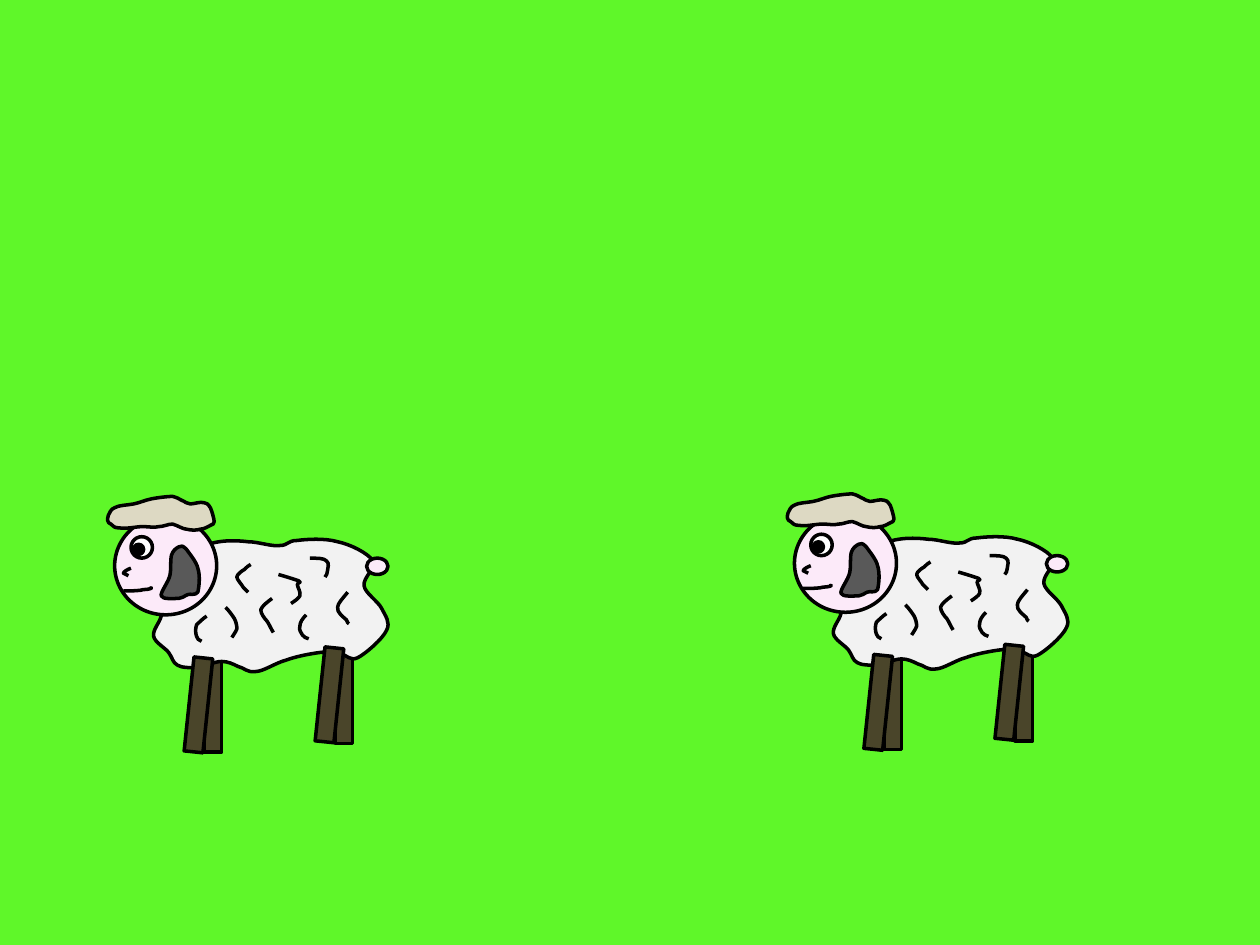
from dataclasses import dataclass
from lxml import etree
from pptx import Presentation
from pptx.dml.color import RGBColor
from pptx.enum.shapes import MSO_SHAPE
from pptx.oxml.ns import qn
from pptx.util import Cm, Pt

RECT, OVAL = MSO_SHAPE.RECTANGLE, MSO_SHAPE.OVAL


@dataclass
class Theme:
    grass: str = "5FF729"
    ink: str = "000000"
    leg: str = "4A452A"
    wool: str = "F2F2F2"
    skin: str = "FCEAF9"
    eye: str = "FFFFFF"
    ear: str = "595959"
    hair: str = "DDD9C3"
    pen: float = 2


def unit(n):
    """Hundredths of an inch."""
    return Cm(n * 0.0254)


class Pen:
    def __init__(self, deck, theme):
        self.theme = theme
        self.slide = deck.slides.add_slide(deck.slide_layouts[6])
        fill = self.slide.background.fill
        fill.solid()
        fill.fore_color.rgb = RGBColor.from_string(theme.grass)

    def group(self, dx, dy):
        self.set = self.slide.shapes.add_group_shape().shapes
        self.dx, self.dy = dx, dy

    def style(self, item, color):
        item.shadow.inherit = False
        if color:
            item.fill.solid()
            item.fill.fore_color.rgb = RGBColor.from_string(color)
        else:
            item.fill.background()
        item.line.color.rgb = RGBColor.from_string(self.theme.ink)
        item.line.width = Pt(self.theme.pen)

    def shape(self, kind, x, y, w, h, color, turn=0):
        item = self.set.add_shape(kind, unit(x + self.dx), unit(y + self.dy),
                                  unit(w), unit(h))
        item.rotation = turn
        self.style(item, color)

    def curve(self, text, color=None):
        """Start point, then three points for each Bezier segment."""
        nums = [int(n) for n in text.split()]
        dots = [(unit(x + self.dx), unit(y + self.dy))
                for x, y in zip(nums[::2], nums[1::2])]
        form = self.set.build_freeform(*dots[0])
        form.add_line_segments(dots[1:], close=bool(color))
        item = form.convert_to_shape()
        # Each three straight steps become one Bezier step
        steps = list(item._element.iter(qn("a:lnTo")))
        for i in range(0, len(steps), 3):
            bend = etree.Element(qn("a:cubicBezTo"))
            steps[i].addprevious(bend)
            for step in steps[i:i + 3]:
                bend.append(step[0])
                step.getparent().remove(step)
        self.style(item, color)


BODY = """253 518 246 519 235 521 227 524 219 526 209 533 203 533
196 534 194 530 189 529 185 527 181 525 176 525 170 525 163 529 157 530
151 530 144 530 141 528 137 526 137 522 134 518 131 514 123 510 122 505
121 500 127 494 128 489 128 484 127 478 125 474 123 470 118 469 117 465
116 460 118 453 120 449 122 445 125 441 129 440 133 439 140 444 144 443
149 442 153 438 158 435 163 433 167 431 174 430 180 429 189 429 197 430
205 430 216 434 222 433 229 433 228 429 236 429 243 428 258 427 268 430
278 432 292 439 296 445 299 451 288 458 289 465 290 471 300 477 303 483
306 489 310 494 307 500 304 507 290 519 284 522 278 525 276 520 270 519
264 518 260 517 253 518"""
EAR = """148 436 145 433 144 433 142 434 140 435 137 437 136 441
135 445 136 451 135 456 134 462 127 470 128 473 129 476 138 475 142 475
145 475 146 473 149 472 151 471 155 473 157 470 158 466 159 457 157 451
156 446 150 439 148 436"""
HAIR = """95 419 100 420 108 418 113 418 119 418 122 419 126 418
130 418 133 416 137 416 141 417 145 420 148 420 152 421 156 421 159 420
162 420 165 418 167 417 169 416 170 416 170 414 170 412 168 405 167 403
165 400 164 399 162 399 159 398 154 400 151 400 148 400 147 398 144 397
142 396 141 395 137 394 133 394 125 395 120 396 115 397 111 399 106 400
101 401 94 401 91 403 88 404 87 407 86 409 85 412 85 415 88 416
90 418 91 419 95 419"""
NOSE = "104 451 101 452 98 454 98 455 98 455 100 456 102 457"
MOUTH = """98 469 105 469 111 469 114 468 118 468 120 467 120 467
121 466 120 467 119 467"""
CURLS = [
    "199 448 197 449 196 450 194 452 192 453 188 456 188 458 "
    "188 460 192 464 193 466 195 468 196 469 197 470",
    "221 456 228 458 234 460 237 461 240 463 236 462 236 464 "
    "236 466 239 470 238 473 237 475 234 477 231 479",
    "246 443 252 443 257 443 259 445 262 447 260 451 260 453 "
    "260 455 259 457 258 458",
    "276 470 272 475 268 479 268 482 267 486 273 490 275 492 "
    "276 494 276 495 277 495",
    "243 488 240 491 238 494 238 497 237 500 239 502 240 504 "
    "241 506 243 506 245 507",
    "216 475 212 478 208 481 207 484 207 487 210 491 212 493 "
    "214 496 215 499 217 502",
    "179 482 182 485 184 488 186 491 187 493 188 496 188 499 "
    "187 502 185 504 184 506",
    "164 489 161 491 158 494 156 496 155 499 155 502 156 505 "
    "156 507 158 508 160 509",
]


def sheep(pen, dx, dy):
    t = pen.theme
    pen.group(dx, dy)
    # Far legs and body
    for x, y in ((162, 521), (266, 514)):
        pen.shape(RECT, x, y, 14, 76, t.leg)
    pen.curve(BODY, t.wool)
    # Head
    pen.shape(OVAL, 91, 410, 81, 78, t.skin)
    pen.shape(OVAL, 104, 426, 17, 17, t.eye)
    pen.shape(OVAL, 106, 432, 8, 8, t.ink)
    pen.curve(NOSE)
    pen.curve(MOUTH)
    pen.curve(EAR, t.ear)
    pen.curve(HAIR, t.hair)
    # Near legs and tail
    pen.shape(RECT, 150, 522, 15, 75, t.leg, 6)
    pen.shape(OVAL, 291, 443, 17, 13, t.skin)
    pen.shape(RECT, 254, 514, 15, 75, t.leg, 6)
    # Wool curls
    for curl in CURLS:
        pen.curve(curl)


deck = Presentation()
deck.slide_width, deck.slide_height = Cm(25.4), Cm(19.05)
pen = Pen(deck, Theme())
for dx, dy in ((0, 0), (539.5, -2)):
    sheep(pen, dx, dy)
deck.save("out.pptx")
